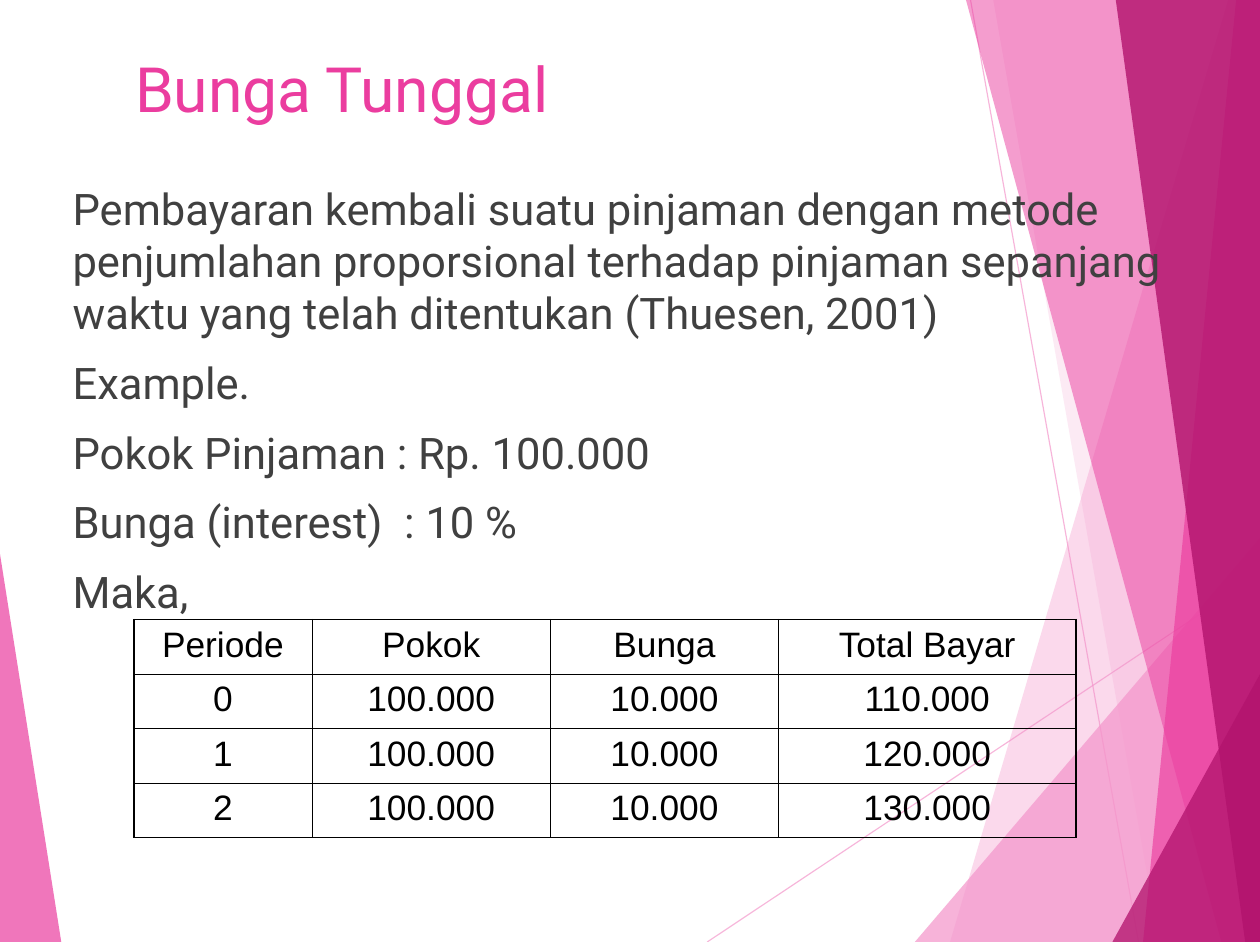
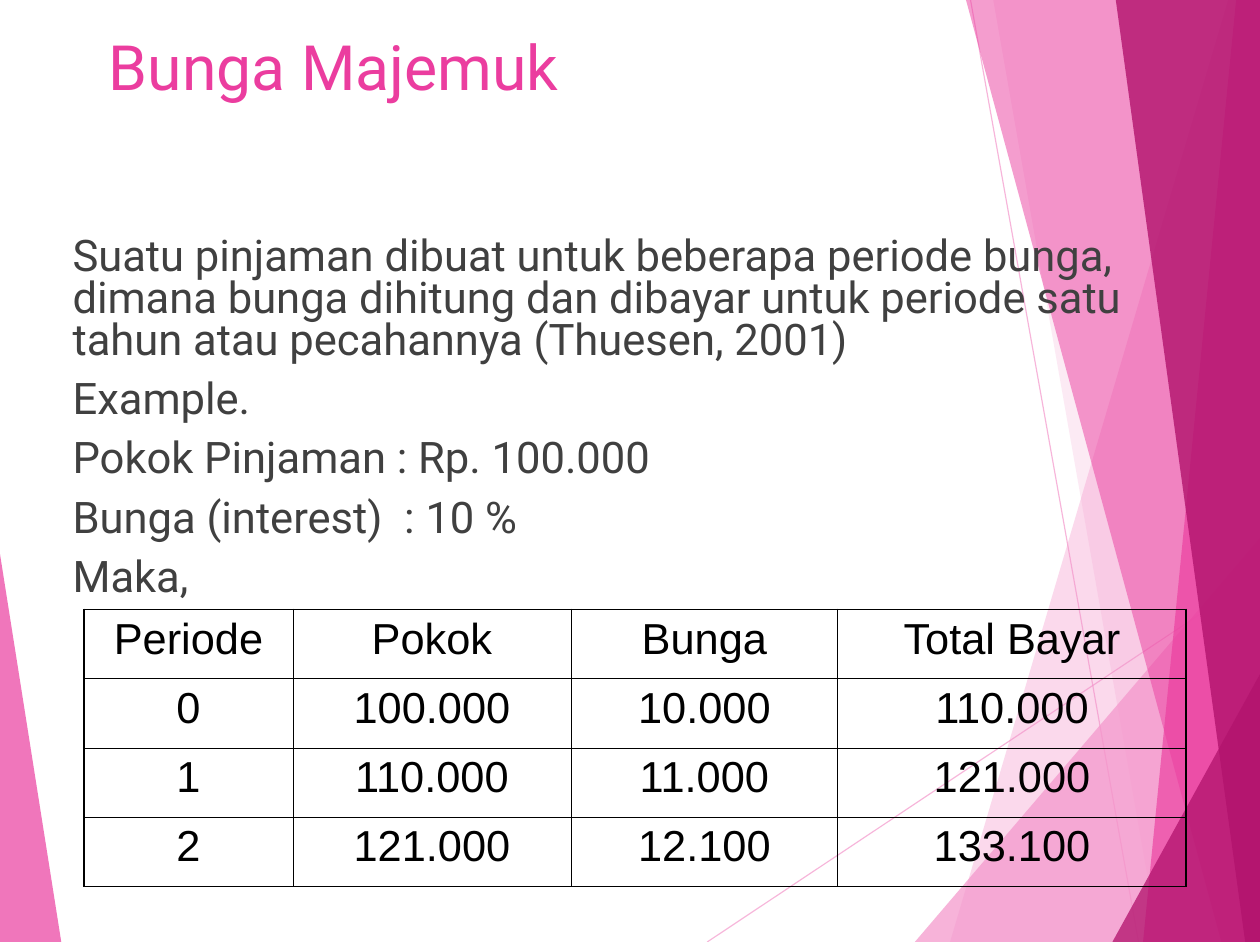
from dataclasses import dataclass

from lxml.etree import SubElement as Sub
from pptx import Presentation
from pptx.dml.color import RGBColor as Rgb
from pptx.enum.shapes import MSO_CONNECTOR as Link
from pptx.enum.text import MSO_ANCHOR as Anchor, PP_ALIGN as Align
from pptx.oxml.ns import qn
from pptx.util import Inches, Pt


@dataclass(frozen=True)
class Theme:
    light: str = "F496CB"
    mid: str = "EB3D9F"
    dark: str = "B2136D"
    ink: str = "404040"
    black: str = "000000"
    sans: str = "Roboto"
    grid: str = "Arial"
    head: float = 39.6
    body: float = 27.6
    gap: float = 11.1
    hair: float = 0.75
    thin: float = 0.45
    thick: float = 1.08


T = Theme()
WIDE, TALL = Inches(11.1), Inches(8.3)
COLS, ROWS = 111, 83

RAYS = [
    ((62.3, ROWS), (COLS, 50.6)),
    ((85.5, 0), (100.3, ROWS)),
]
BANDS = [
    (T.light, 36, [(108.2, 0), (83.7, ROWS), (COLS, ROWS), (COLS, 0)]),
    (T.light, 20, [(87.5, 0), (102.1, ROWS), (COLS, ROWS), (COLS, 0)]),
    (T.light, 72, [(80.6, ROWS), (COLS, 47.4), (COLS, ROWS)]),
    (T.mid, 50, [(85.1, 0), (107.6, ROWS), (COLS, ROWS), (COLS, 0)]),
    (T.mid, 66, [(108.9, 0), (100.7, ROWS), (COLS, ROWS), (COLS, 0)]),
    (T.dark, 80, [(98.3, 0), (109.7, ROWS), (COLS, ROWS), (COLS, 0)]),
    (T.dark, 76, [(98, ROWS), (COLS, 59.4), (COLS, ROWS)]),
    (T.mid, 70, [(0, 48.8), (5.4, ROWS), (0, ROWS)]),
]
LOAN = ["Example.", "Pokok Pinjaman : Rp. 100.000", "Bunga (interest)  : 10 %", "Maka,"]
HEADS = ["Periode", "Pokok", "Bunga", "Total Bayar"]

PAGES = [
    {
        "title": ("Bunga Tunggal", (11.1, 3.7, 96.9, 9.1)),
        "text": (
            "Pembayaran kembali suatu pinjaman dengan metode penjumlahan "
            "proporsional terhadap pinjaman sepanjang waktu yang telah "
            "ditentukan (Thuesen, 2001)"
        ),
        "box": (5.6, 15.3, 103.3, 40.1),
        "lead": 1.0,
        "table": {
            "left": 11.8, "top": 54.6, "cols": [15.7, 21, 20.1, 26.2],
            "high": 4.8, "size": 22.4, "gap": 5.5,
            "rows": [
                HEADS,
                ["0", "100.000", "10.000", "110.000"],
                ["1", "100.000", "10.000", "120.000"],
                ["2", "100.000", "10.000", "130.000"],
            ],
        },
    },
    {
        "title": ("Bunga Majemuk", (8.8, 1.8, 97.7, 13.8)),
        "text": (
            "Suatu pinjaman dibuat untuk beberapa periode bunga, dimana bunga "
            "dihitung dan dibayar untuk periode satu tahun atau pecahannya "
            "(Thuesen, 2001)"
        ),
        "box": (5.6, 20.3, 102.4, 33.4),
        "lead": 0.8,
        "table": {
            "left": 7.4, "top": 53.7, "cols": [18.4, 24.5, 23.5, 30.7],
            "high": 6.1, "size": 27.5, "gap": 6.8,
            "rows": [
                HEADS,
                ["0", "100.000", "10.000", "110.000"],
                ["1", "110.000", "11.000", "121.000"],
                ["2", "121.000", "12.100", "133.100"],
            ],
        },
    },
]


def across(n):
    return round(n * WIDE / COLS)


def down(n):
    return round(n * TALL / ROWS)


def put(thing, form):
    for key, val in form.items():
        setattr(thing, key, val)


def fade(shape, share):
    for node in shape.element.spPr.iter(qn("a:srgbClr")):
        Sub(node, qn("a:alpha"), val=str(share * 1000))


class Deck:
    """Hold the file, its style and the current slide."""

    def __init__(self):
        self.file = Presentation()
        put(self.file, {"slide_width": WIDE, "slide_height": TALL})

    def page(self):
        self.slide = self.file.slides.add_slide(self.file.slide_layouts[6])
        for start, end in RAYS:
            self.ray(start, end)
        for tone, share, spots in BANDS:
            self.band(tone, share, spots)

    def ray(self, start, end):
        line = self.slide.shapes.add_connector(
            Link.STRAIGHT, across(start[0]), down(start[1]), across(end[0]), down(end[1])
        )
        line.line.width = Pt(T.hair)
        line.line.color.rgb = Rgb.from_string(T.light)
        fade(line, 70)
        Sub(line.element.spPr, qn("a:effectLst"))

    def band(self, tone, share, spots):
        first, *rest = [(across(x), down(y)) for x, y in spots]
        pen = self.slide.shapes.build_freeform(*first)
        pen.add_line_segments(rest, close=True)
        shape = pen.convert_to_shape()
        shape.shadow.inherit = False
        shape.fill.solid()
        shape.fill.fore_color.rgb = Rgb.from_string(tone)
        shape.line.fill.background()
        fade(shape, share)

    def words(self, para, text, face, size, tone, form):
        put(para, form)
        run = para.add_run()
        run.text = text
        put(run.font, {"name": face, "size": Pt(size), "bold": False})
        run.font.color.rgb = Rgb.from_string(tone)

    def text(self, lines, box, size, tone, form):
        x, y, w, h = box
        frame = self.slide.shapes.add_textbox(
            across(x), down(y), across(w), down(h)
        ).text_frame
        put(frame, {
            "word_wrap": True, "vertical_anchor": Anchor.TOP,
            "margin_left": across(0.8), "margin_right": across(0.8),
            "margin_top": down(0.7), "margin_bottom": down(0.5),
        })
        for i, line in enumerate(lines):
            para = frame.add_paragraph() if i else frame.paragraphs[0]
            self.words(para, line, T.sans, size, tone, form)

    def edge(self, cell, rims):
        props = cell._tc.get_or_add_tcPr()
        for side, rim in rims.items():
            size = T.thick if rim else T.thin
            line = Sub(props, qn("a:ln" + side), w=str(int(Pt(size))))
            Sub(Sub(line, qn("a:solidFill")), qn("a:srgbClr"), val=T.black)

    def table(self, left, top, cols, high, size, gap, rows):
        grid = self.slide.shapes.add_table(
            len(rows), len(cols), across(left), down(top),
            across(sum(cols)), down(high * len(rows)),
        ).table
        put(grid, {"first_row": False, "horz_banding": False})
        for col, wide in zip(grid.columns, cols):
            col.width = across(wide)
        for r, row in enumerate(rows):
            grid.rows[r].height = down(high)
            for c, text in enumerate(row):
                cell = grid.cell(r, c)
                put(cell, {
                    "margin_left": across(1.1), "margin_right": across(1.1),
                    "margin_top": down(0.5), "margin_bottom": down(0.5),
                })
                self.edge(cell, {
                    "L": c == 0, "R": c == len(cols) - 1,
                    "T": r == 0, "B": r == len(rows) - 1,
                })
                cell.fill.background()
                form = {"alignment": Align.CENTER, "space_before": Pt(gap)}
                self.words(
                    cell.text_frame.paragraphs[0], text, T.grid, size, T.black, form
                )


def main():
    deck = Deck()
    for page in PAGES:
        deck.page()
        title, box = page["title"]
        deck.text([title], box, T.head, T.mid, {"alignment": Align.LEFT})
        form = {
            "alignment": Align.LEFT, "space_before": Pt(T.gap),
            "line_spacing": page["lead"],
        }
        deck.text([page["text"], *LOAN], page["box"], T.body, T.ink, form)
        deck.table(**page["table"])
    deck.file.save("out.pptx")


if __name__ == "__main__":
    main()
